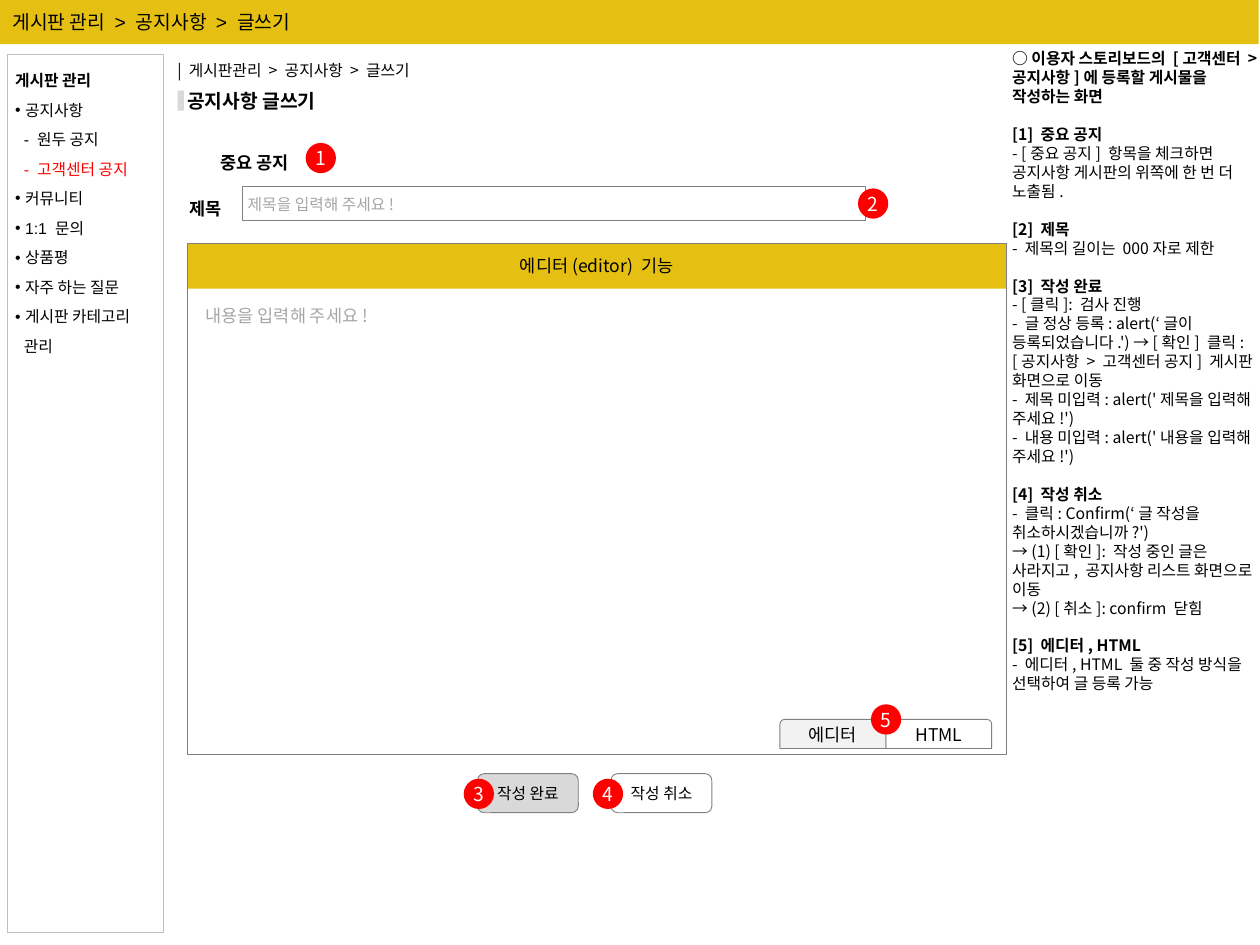
from dataclasses import dataclass
from typing import Optional

import pptx
import pptx.dml.color
import pptx.enum.shapes
import pptx.enum.text
import pptx.oxml.ns
import pptx.util
from lxml import etree

Pt = pptx.util.Pt
SHAPE = pptx.enum.shapes.MSO_SHAPE
ALIGN = pptx.enum.text.PP_ALIGN
ANCHOR = pptx.enum.text.MSO_ANCHOR
AUTO = pptx.enum.text.MSO_AUTO_SIZE
qn = pptx.oxml.ns.qn

KOREAN, LATIN = "Noto Sans CJK KR", "Arial"
GOLD, GRAY, PALE, HINT = "E5C012", "808080", "D9D9D9", "A6A6A6"
RED, BLACK, WHITE = "FF0000", "000000", "FFFFFF"
STANDARD, TIGHT, NONE = (7.2, 3.6, 7.2, 3.6), (2.9,) * 4, (0,) * 4
LINE = 10.8  # height of one 9 pt line


@dataclass
class Box:
    x: float
    y: float
    w: float
    h: float
    text: str = ""
    kind: Optional[int] = None  # None makes a text box
    fill: Optional[str] = None
    line: Optional[str] = None
    line_w: float = 0.5
    size: float = 9
    color: str = BLACK
    bold: bool = False
    center: bool = False
    insets: tuple = STANDARD
    wrap: bool = False
    middle: bool = True
    spacing: Optional[float] = None


@dataclass
class MenuItem:
    runs: list  # (text, font) pairs
    bullet: bool = True
    indent: float = 5
    color: str = BLACK
    bold: bool = False


@dataclass
class Note:
    heading: str
    lines: list


def rgb(value: str):
    return pptx.dml.color.RGBColor.from_string(value)


def add_run(p, text: str, *, size: float = 9, color: str = BLACK,
            bold: bool = False, font: str = KOREAN) -> None:
    r = p.add_run()
    r.text = text
    r.font.size, r.font.bold, r.font.name = Pt(size), bold, font
    r.font.color.rgb = rgb(color)
    etree.SubElement(r._r.get_or_add_rPr(), qn("a:ea"), typeface=KOREAN)


def set_indent(p, left: float, first: float = 0, bullet: bool = False) -> None:
    pPr = p._p.get_or_add_pPr()
    pPr.set("marL", str(Pt(left)))
    pPr.set("indent", str(Pt(first)))
    if bullet:
        etree.SubElement(pPr, qn("a:buFont"), typeface=LATIN)
        etree.SubElement(pPr, qn("a:buChar"), char="•")


def add_box(s, b: Box):
    """Draw a box and return its text frame."""
    place = Pt(b.x), Pt(b.y), Pt(b.w), Pt(b.h)
    if b.kind is None:
        sp = s.shapes.add_textbox(*place)
    else:
        sp = s.shapes.add_shape(b.kind, *place)
        sp.shadow.inherit = False
        if b.fill:
            sp.fill.solid()
            sp.fill.fore_color.rgb = rgb(b.fill)
        else:
            sp.fill.background()
        if b.line:
            sp.line.color.rgb = rgb(b.line)
            sp.line.width = Pt(b.line_w)
        else:
            sp.line.fill.background()
    tf = sp.text_frame
    tf.word_wrap = b.wrap
    tf.margin_left, tf.margin_top, tf.margin_right, tf.margin_bottom = map(Pt, b.insets)
    shape_text = b.kind is not None
    tf.vertical_anchor = ANCHOR.MIDDLE if shape_text and b.middle else ANCHOR.TOP
    p = tf.paragraphs[0]
    p.alignment = ALIGN.CENTER if b.center else ALIGN.LEFT
    if b.spacing:
        p.line_spacing = b.spacing
    if b.text:
        if not shape_text:
            tf.auto_size = AUTO.SHAPE_TO_FIT_TEXT
        add_run(p, b.text, size=b.size, color=b.color, bold=b.bold)
    return tf


def next_paragraph(tf):
    p = tf.paragraphs[-1]
    if p.runs:
        p = tf.add_paragraph()
    p.alignment = ALIGN.LEFT
    return p


def add_menu(s, title: str, items: list[MenuItem]) -> None:
    tf = add_box(s, Box(4.3, 31, 89.3, 501.8, kind=SHAPE.RECTANGLE, line="BFBFBF",
                        line_w=0.75, insets=(4.3, 3.6, 0, 3.6), middle=False))
    heading = MenuItem([(title, KOREAN)], bullet=False, indent=0, bold=True)
    for item in [heading, *items]:
        p = next_paragraph(tf)
        p.line_spacing = 1.56
        if item.bullet:
            set_indent(p, 5.76, -5.76, bullet=True)
        else:
            set_indent(p, item.indent)
        for text, font in item.runs:
            add_run(p, text, font=font, color=item.color, bold=item.bold)


def add_notes(s, notes: list[Note]) -> None:
    # Starts below the header bar and clear of the editor frame
    tf = add_box(s, Box(575.5, 28, 143, 478, wrap=True, insets=(2.9, 0, 0, 0)))
    for i, note in enumerate(notes):
        p = next_paragraph(tf)
        p.space_before = Pt(LINE if i else 0)
        add_run(p, note.heading, bold=True)
        for line in note.lines:
            add_run(next_paragraph(tf), line)


def add_badge(s, number: int, x: float, y: float) -> None:
    add_box(s, Box(x, y, 17.3, 17.3, str(number), SHAPE.OVAL, RED, size=11,
                   color=WHITE, center=True, insets=NONE))


MENU = [
    MenuItem([("공지사항", KOREAN)]),
    MenuItem([("- 원두 ", LATIN), ("공지", KOREAN)], bullet=False),
    MenuItem([("- ", LATIN), ("고객센터 공지", KOREAN)], bullet=False, color=RED),
    MenuItem([("커뮤니티", KOREAN)]),
    MenuItem([("1:1 ", LATIN), ("문의", KOREAN)]),
    MenuItem([("상품평", KOREAN)]),
    MenuItem([("자주 하는 질문", KOREAN)]),
    MenuItem([("게시판 카테고리", KOREAN)]),
    MenuItem([("관리", KOREAN)], bullet=False),
]
NOTES = [
    Note("○ 이용자 스토리보드의 [고객센터 > 공지사항]에 등록할 게시물을 작성하는 화면", []),
    Note("[1] 중요 공지", ["- [중요 공지] 항목을 체크하면 공지사항 게시판의 위쪽에 한 번 더 노출됨."]),
    Note("[2] 제목", ["- 제목의 길이는 000자로 제한"]),
    Note("[3] 작성 완료", [
        "- [클릭]: 검사 진행",
        "- 글 정상 등록: alert(‘글이 등록되었습니다.') → [확인] 클릭: "
        "[공지사항 > 고객센터 공지] 게시판 화면으로 이동",
        "- 제목 미입력: alert('제목을 입력해 주세요!')",
        "- 내용 미입력: alert('내용을 입력해 주세요!')"]),
    Note("[4] 작성 취소", [
        "- 클릭: Confirm(‘글 작성을 취소하시겠습니까?')",
        "→ (1) [확인]: 작성 중인 글은 사라지고, 공지사항 리스트 화면으로 이동",
        "→ (2) [취소]: confirm 닫힘"]),
    Note("[5] 에디터, HTML", ["- 에디터, HTML 둘 중 작성 방식을 선택하여 글 등록 가능"]),
]
FORM = [
    Box(106.9, 139, 468, 25.9, "에디터(editor) 기능", SHAPE.RECTANGLE, GOLD,
        size=10, center=True, insets=TIGHT),
    Box(94.3, 31, 154.1, 18, "| 게시판관리 > 공지사항 > 글쓰기"),
    Box(106.9, 51.1, 81.4, 13.7, "공지사항 글쓰기", size=11, bold=True, insets=NONE),
    Box(101.5, 51.8, 3.6, 11.5, kind=SHAPE.RECTANGLE, fill=PALE),
    Box(110.6, 170.6, 115.2, 19.4, "내용을 입력해 주세요!", size=10, color=HINT),
    Box(101, 103.7, 34.6, 23, "제목", size=10, bold=True, spacing=1.5),
    Box(138.7, 106.8, 355.7, 19.4, "제목을 입력해 주세요!", SHAPE.RECTANGLE,
        line=GRAY, color=HINT, insets=TIGHT),
    Box(118.8, 77.5, 58.3, 23, "중요 공지", size=10, bold=True, spacing=1.5),
    Box(106.9, 139, 468, 292.3, kind=SHAPE.RECTANGLE, line=GRAY),
]
BUTTONS = [("작성 완료", 272.9, PALE), ("작성 취소", 349.2, WHITE)]
TABS = [("HTML", 506.2, None), ("에디터", 445.7, "F2F2F2")]
BADGES = [(174.7, 81.7), (490.3, 107.7), (265, 445), (338.8, 445), (497.7, 402.5)]


def main() -> None:
    prs = pptx.Presentation()
    prs.slide_width, prs.slide_height = Pt(720), Pt(540)
    s = prs.slides.add_slide(prs.slide_layouts[6])

    # Side panels
    add_notes(s, NOTES)
    add_menu(s, "게시판 관리", MENU)

    # Header bar
    tf = add_box(s, Box(0, 0, 719.3, 25.2, kind=SHAPE.RECTANGLE, fill=GOLD, wrap=True))
    p = tf.paragraphs[0]
    p.space_before = Pt(2.2)
    for text, font in [("게시판 관리 ", KOREAN), ("> ", LATIN), ("공지사항 ", KOREAN),
                       ("> ", LATIN), ("글쓰기", KOREAN)]:
        add_run(p, text, size=11, font=font)

    # Form, buttons and editor tabs
    for box in FORM:
        add_box(s, box)
    for text, x, fill in BUTTONS:
        add_box(s, Box(x, 442.1, 57.6, 22.3, text, SHAPE.ROUNDED_RECTANGLE, fill, GRAY,
                       center=True, wrap=True))
    for text, x, fill in TABS:
        add_box(s, Box(x, 411.1, 60.5, 16.6, text, SHAPE.ROUND_2_SAME_RECTANGLE, fill,
                       GRAY, size=10, center=True, insets=TIGHT))

    # Numbered markers
    for number, (x, y) in enumerate(BADGES, 1):
        add_badge(s, number, x, y)

    prs.save("out.pptx")


if __name__ == "__main__":
    main()
